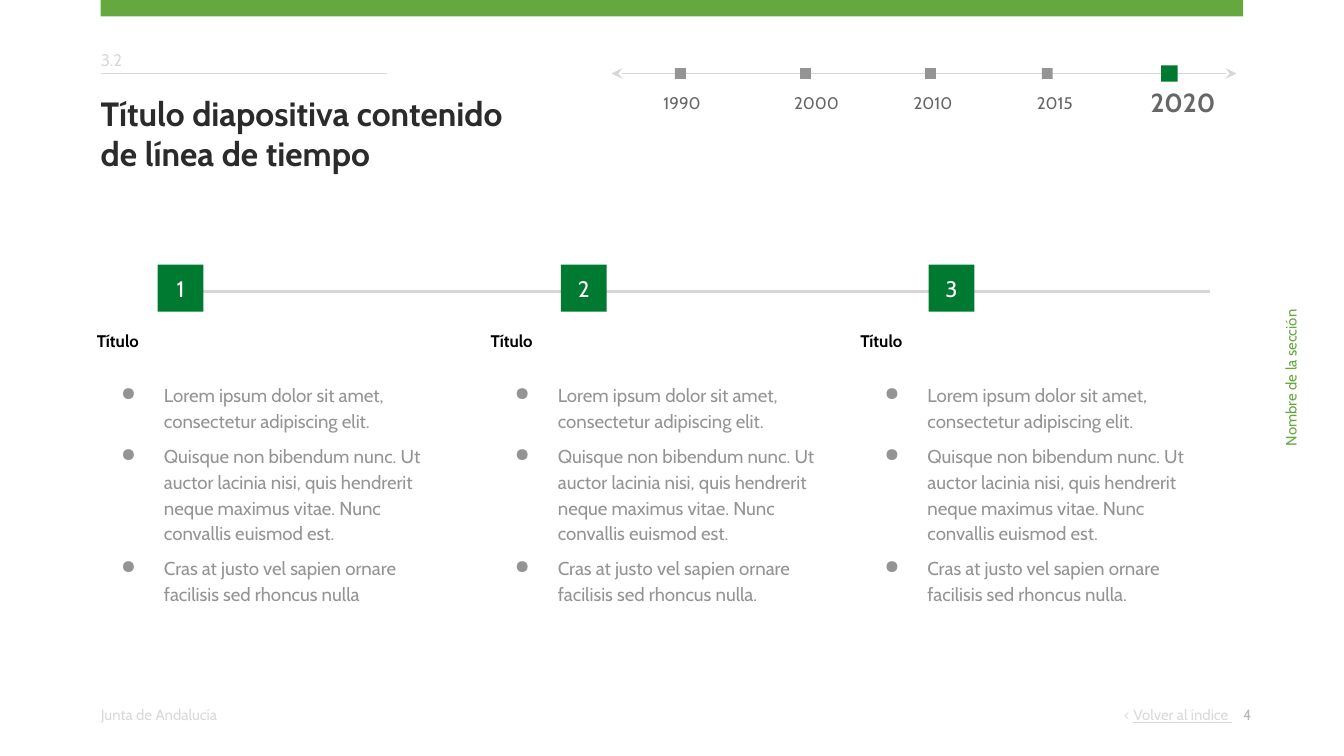
"""Build a timeline slide with five years and three numbered columns."""
from lxml import etree
from pptx import Presentation, util as u
from pptx.dml.color import RGBColor
from pptx.enum import shapes, text
from pptx.oxml.ns import qn

Pt = u.Pt
FONT = "Cabin"
GREEN, LIME, GREY, PALE, RULE = "007931", "64A83F", "949494", "D9D9D9", "D6D6D6"
LEFT, RIGHT = 54, 666
INSET = 1.44

TITLE = "Título diapositiva contenido de línea de tiempo"
YEARS = [
    ("1990", 364.5, 354),
    ("2000", 431.5, 424),
    ("2010", 498.5, 488),
    ("2015", 561, 554),
    ("2020", 626.5, 615),
]
CURRENT_YEAR = "2020"
BULLETS = [
    "Lorem ipsum dolor sit amet, consectetur adipiscing elit.",
    "Quisque non bibendum nunc. Ut auctor lacinia nisi, quis hendrerit "
    "neque maximus vitae. Nunc convallis euismod est.",
]
LAST_BULLET = "Cras at justo vel sapien ornare facilisis sed rhoncus nulla"
COLUMNS = [
    ("1", 84.5, 50.4, 186.5, LAST_BULLET),
    ("2", 300.5, 261.4, 178, LAST_BULLET + "."),
    ("3", 497.5, 459.4, 186.5, LAST_BULLET + "."),
]


def rgb(color):
    return RGBColor.from_string(color)


def style(paragraph, size, color, bold=False):
    for run in paragraph.runs:
        run.font.name = FONT
        run.font.size = Pt(size)
        run.font.bold = bold
        run.font.color.rgb = rgb(color)


def add_text(slide, box, content, size, color, bold=False, inset=0,
             align=text.PP_ALIGN.LEFT, anchor=text.MSO_ANCHOR.TOP):
    shape = slide.shapes.add_textbox(*map(Pt, box))
    frame = shape.text_frame
    frame.word_wrap = True
    frame.vertical_anchor = anchor
    frame.margin_left = frame.margin_right = Pt(inset)
    frame.margin_top = frame.margin_bottom = Pt(inset)
    frame.text = content
    frame.paragraphs[0].alignment = align
    style(frame.paragraphs[0], size, color, bold)
    return shape


def add_box(slide, box, color):
    shape = slide.shapes.add_shape(shapes.MSO_SHAPE.RECTANGLE, *map(Pt, box))
    shape.shadow.inherit = False
    shape.fill.solid()
    shape.fill.fore_color.rgb = rgb(color)
    shape.line.fill.background()
    return shape


def add_rule(slide, start, end, y, width, color, arrows=False):
    line = slide.shapes.add_connector(
        shapes.MSO_CONNECTOR.STRAIGHT, Pt(start), Pt(y), Pt(end), Pt(y))
    line.line.width = Pt(width)
    line.line.color.rgb = rgb(color)
    properties = line._element.spPr
    if arrows:
        for tag in ("a:headEnd", "a:tailEnd"):
            etree.SubElement(properties.find(qn("a:ln")), qn(tag), type="stealth")
    etree.SubElement(properties, qn("a:effectLst"))


def add_bullet(frame, content):
    paragraph = frame.add_paragraph()
    paragraph.text = content
    paragraph.line_spacing = 1.15
    paragraph.space_before = Pt(5)
    style(paragraph, 10, GREY)
    properties = paragraph._p.get_or_add_pPr()
    properties.set("marL", str(Pt(36)))
    properties.set("indent", str(Pt(-23)))
    bullet_color = etree.SubElement(properties, qn("a:buClr"))
    etree.SubElement(bullet_color, qn("a:srgbClr"), val=GREY)
    etree.SubElement(properties, qn("a:buChar"), char="●")


def add_header(slide):
    add_box(slide, (LEFT, 0, RIGHT - LEFT, 8.8), LIME)
    add_rule(slide, LEFT, 207.4, 39.4, 0.75, PALE)
    add_text(slide, (LEFT, 26.6, 35, 33), "3.2", 9, PALE)
    add_text(slide, (LEFT, 49.7, 232.5, 58), TITLE, 18, "2B2B2B", bold=True)


def add_years(slide):
    center = 39.4
    add_rule(slide, 327.6, 662.4, center, 0.75, RULE, arrows=True)
    for year, x, label_left in YEARS:
        current = year == CURRENT_YEAR
        side = 8.8 if current else 5.8
        add_box(slide, (x - side / 2, center - side / 2, side, side),
                GREEN if current else GREY)
        box = (label_left, 44.6, 47, 22) if current else (label_left, 48.2, 32, 16.6)
        add_text(slide, box, year, 14 if current else 9, "666666", current, INSET)


def add_columns(slide):
    add_rule(slide, 100.8, 648, 156.2, 1.5, RULE)
    for number, square_left, left, width, last in COLUMNS:
        square = add_box(slide, (square_left, 141.8, 24.5, 25.2), GREEN)
        frame = square.text_frame
        frame.margin_left = frame.margin_right = 0
        frame.margin_top = frame.margin_bottom = 0
        frame.vertical_anchor = text.MSO_ANCHOR.MIDDLE
        frame.text = number
        frame.paragraphs[0].alignment = text.PP_ALIGN.CENTER
        style(frame.paragraphs[0], 12, "FFFFFF")

        body = add_text(slide, (left, 175.7, width, 177), "Título", 9, "000000",
                        True, INSET).text_frame
        body.paragraphs[0].space_after = Pt(11)
        for bullet in BULLETS + [last]:
            add_bullet(body, bullet)


def add_footer(slide):
    add_text(slide, (LEFT, 378, 140, 16), "Junta de Andalucía", 8, PALE)
    link = add_text(slide, (475, 378, 185, 16), "< ", 8, PALE,
                    align=text.PP_ALIGN.RIGHT)
    paragraph = link.text_frame.paragraphs[0]
    run = paragraph.add_run()
    run.text = "Volver al índice "
    run.font.underline = True
    style(paragraph, 8, PALE)
    add_text(slide, (RIGHT, 378, 43, 31), "4", 8, "B7B7B7")
    section = add_text(slide, (599, 194.4, 185, 16), "Nombre de la sección", 8, LIME,
                       align=text.PP_ALIGN.CENTER, anchor=text.MSO_ANCHOR.MIDDLE)
    section.rotation = 270


def main():
    presentation = Presentation()
    presentation.slide_width, presentation.slide_height = Pt(720), Pt(405)
    slide = presentation.slides.add_slide(presentation.slide_layouts[6])
    add_header(slide)
    add_years(slide)
    add_columns(slide)
    add_footer(slide)
    presentation.save("out.pptx")


if __name__ == "__main__":
    main()
